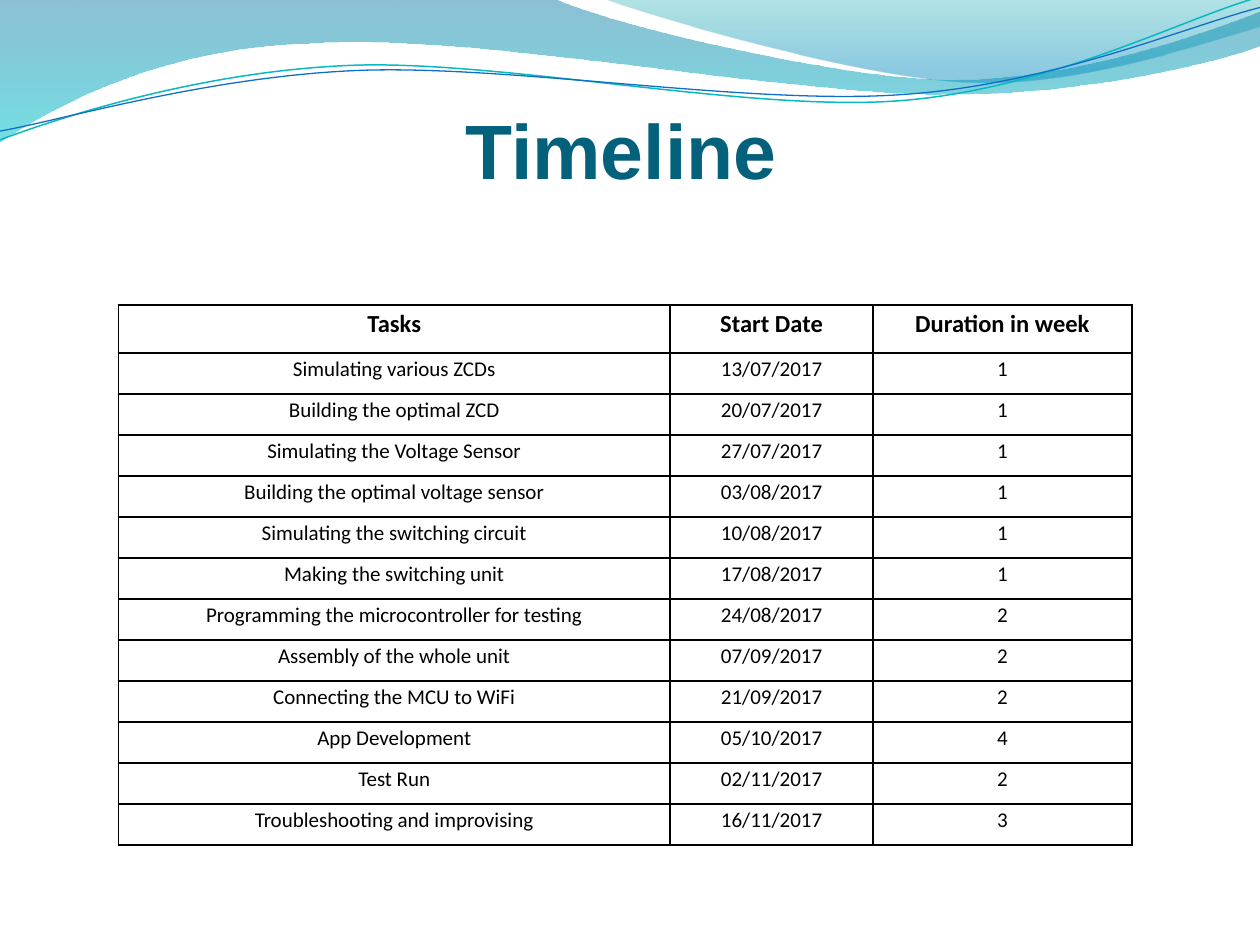
from math import cos, radians, sin

from pptx import Presentation
from pptx.dml.color import RGBColor
from pptx.enum import text
from pptx.oxml import parse_xml
from pptx.oxml.ns import nsdecls
from pptx.util import Pt

# Content
TITLE = "Timeline"
HEAD = ("Tasks", "Start Date", "Duration in week")
TASKS = [
    ("Simulating various ZCDs", "13/07/2017", 1),
    ("Building the optimal ZCD", "20/07/2017", 1),
    ("Simulating the Voltage Sensor", "27/07/2017", 1),
    ("Building the optimal voltage sensor", "03/08/2017", 1),
    ("Simulating the switching circuit", "10/08/2017", 1),
    ("Making the switching unit", "17/08/2017", 1),
    ("Programming the microcontroller for testing", "24/08/2017", 2),
    ("Assembly of the whole unit", "07/09/2017", 2),
    ("Connecting the MCU to WiFi", "21/09/2017", 2),
    ("App Development", "05/10/2017", 4),
    ("Test Run", "02/11/2017", 2),
    ("Troubleshooting and improvising", "16/11/2017", 3),
]

# Colours
BLACK = RGBColor(0x00, 0x00, 0x00)
NAVY = RGBColor(0x04, 0x61, 0x7B)
STEEL = RGBColor(0x00, 0x74, 0xA1)
CYAN = RGBColor(0x00, 0xC6, 0xCF)
TEAL = RGBColor(0x00, 0xA1, 0xA9)
SKY = RGBColor(0x00, 0x8B, 0xBF)
AQUA = RGBColor(0x0A, 0xB8, 0xBF)
BLUE = RGBColor(0x0F, 0x6F, 0xC6)

# Waves: each step is a line end (2 numbers) or a Bezier curve (6 numbers)
# Gradient stops: position, colour, opacity in percent
BANDS = [
    ([(0, 0), (316.8, -0.7), (342.7, 12.2, 478.1, 45.4, 545.8, 45.4),
      (614.2, 45.4, 689.8, 18.7, 720, 6.5), (720.7, 25.9),
      (707.8, 31.7, 626.4, 54.7, 537.1, 54),
      (447.8, 54, 275, 20.2, 185, 24.5),
      (92.9, 25.9, 33.1, 59.8, -0.7, 81.4), (0, 0)],
     [(0, STEEL, 45), (1, CYAN, 55)]),
    ([(344.9, -0.7), (366.5, 7.9, 491, 44.6, 553.7, 46.8),
      (616.3, 49.7, 691.9, 23, 720, 15.1), (720, 0), (344.9, -0.7)],
     [(0, TEAL, 30), (0.8, SKY, 45)]),
]
# Thin lines: route, colour, width, centre of turning
LINES = [
    ([(0, 79.9), (34.6, 67, 113.8, 41, 199.4, 37.4),
      (284.4, 33.8, 427, 64.1, 513.4, 57.6),
      (599.8, 51.1, 675.4, 10.8, 718.6, -1.4)], AQUA, 0.85, (359.3, 41.4)),
    ([(0, 74.9), (33.8, 69.1, 118.1, 43.9, 203.8, 40.3),
      (290.2, 36.7, 429.8, 60.5, 516.2, 54),
      (601.9, 48.2, 677.5, 15.1, 720, 4.3)], BLUE, 0.75, (359.6, 42.5)),
]
TILT = -2.7

# Table layout
LEFT, TOP = 67.6, 174.3
COLS = (315.4, 115.9, 147.9)
ROWS = [27.4] + [23.47] * len(TASKS)


def turn(dot, mid, angle):
    """Turn a point clockwise about mid."""
    x, y = dot[0] - mid[0], dot[1] - mid[1]
    c, s = cos(radians(angle)), sin(radians(angle))
    return mid[0] + x * c - y * s, mid[1] + x * s + y * c


def draw(slide, route, close, mid=(0, 0), tilt=0):
    """Draw a route of lines and curves, tilted about mid."""
    dots = [dot for step in route for dot in zip(step[::2], step[1::2])]
    dots = [turn(dot, mid, -tilt) for dot in dots]
    dots = [(Pt(x), Pt(y)) for x, y in dots]
    pen = slide.shapes.build_freeform(*dots[0])
    pen.add_line_segments(dots[1:], close=close)
    wave = pen.convert_to_shape()
    wave.shadow.inherit = False
    wave.rotation = tilt
    # Join the three points of each curve
    nodes = iter(wave._element.xpath(".//a:path/a:lnTo"))
    for step in route[1:]:
        group = [next(nodes) for _ in step[::2]]
        if len(group) == 3:
            curve = parse_xml(f'<a:cubicBezTo {nsdecls("a")}/>')
            group[0].addprevious(curve)
            for node in group:
                curve.append(node[0])
                node.getparent().remove(node)
    return wave


def add_waves(slide):
    for route, stops in BANDS:
        band = draw(slide, route, True)
        band.line.fill.background()
        band.fill.gradient()
        band.fill.gradient_angle = 270
        for stop, (pos, color, _) in zip(band.fill.gradient_stops, stops):
            stop.position = pos
            stop.color.rgb = color
        marks = band._element.xpath(".//a:gs/a:srgbClr")
        for mark, (_, _, alpha) in zip(marks, stops):
            mark.append(parse_xml(
                f'<a:alpha {nsdecls("a")} val="{alpha * 1000}"/>'))
    for route, color, width, mid in LINES:
        wave = draw(slide, route, False, mid, TILT)
        wave.fill.background()
        wave.line.color.rgb = color
        wave.line.width = Pt(width)


def style(para, font, size, color, bold):
    para.alignment = text.PP_ALIGN.CENTER
    for run in para.runs:
        run.font.name = font
        run.font.size = Pt(size)
        run.font.color.rgb = color
        run.font.bold = bold


def add_title(slide):
    title = slide.shapes.title
    title.left, title.top = Pt(144.7), Pt(54.7)
    title.width, title.height = Pt(420.5), Pt(56.9)
    frame = title.text_frame
    frame.text = TITLE
    frame.word_wrap = True
    frame.auto_size = text.MSO_AUTO_SIZE.NONE
    frame.vertical_anchor = text.MSO_ANCHOR.BOTTOM
    frame.margin_left = frame.margin_right = frame.margin_bottom = 0
    frame.margin_top = Pt(3.6)
    style(frame.paragraphs[0], "Arial", 44, NAVY, True)
    # Bring the title in front of the waves
    title._element.getparent().append(title._element)


def frame_cell(cell):
    props = cell._tc.get_or_add_tcPr()
    for i, side in enumerate(("lnL", "lnR", "lnT", "lnB")):
        props.insert(i, parse_xml(
            f'<a:{side} {nsdecls("a")} w="{Pt(1)}"><a:solidFill>'
            f'<a:srgbClr val="{BLACK}"/></a:solidFill></a:{side}>'))


def add_tasks(slide):
    data = [HEAD] + TASKS
    table = slide.shapes.add_table(
        len(data), len(COLS), Pt(LEFT), Pt(TOP),
        Pt(sum(COLS)), Pt(sum(ROWS))).table
    table.first_row = table.horz_banding = False
    for col, width in zip(table.columns, COLS):
        col.width = Pt(width)
    for r, (row, height) in enumerate(zip(table.rows, ROWS)):
        row.height = Pt(height)
        for cell, value in zip(row.cells, data[r]):
            cell.text_frame.text = str(value)
            cell.margin_left = cell.margin_right = Pt(5)
            cell.margin_top = cell.margin_bottom = 0
            para = cell.text_frame.paragraphs[0]
            para.line_spacing = 1.15
            style(para, "Calibri", 12 if r else 14, BLACK, r == 0)
            cell.fill.background()
            frame_cell(cell)


def main():
    deck = Presentation()
    deck.slide_width, deck.slide_height = Pt(720), Pt(540)
    slide = deck.slides.add_slide(deck.slide_layouts[5])
    add_waves(slide)
    add_title(slide)
    add_tasks(slide)
    deck.save("out.pptx")


if __name__ == "__main__":
    main()
